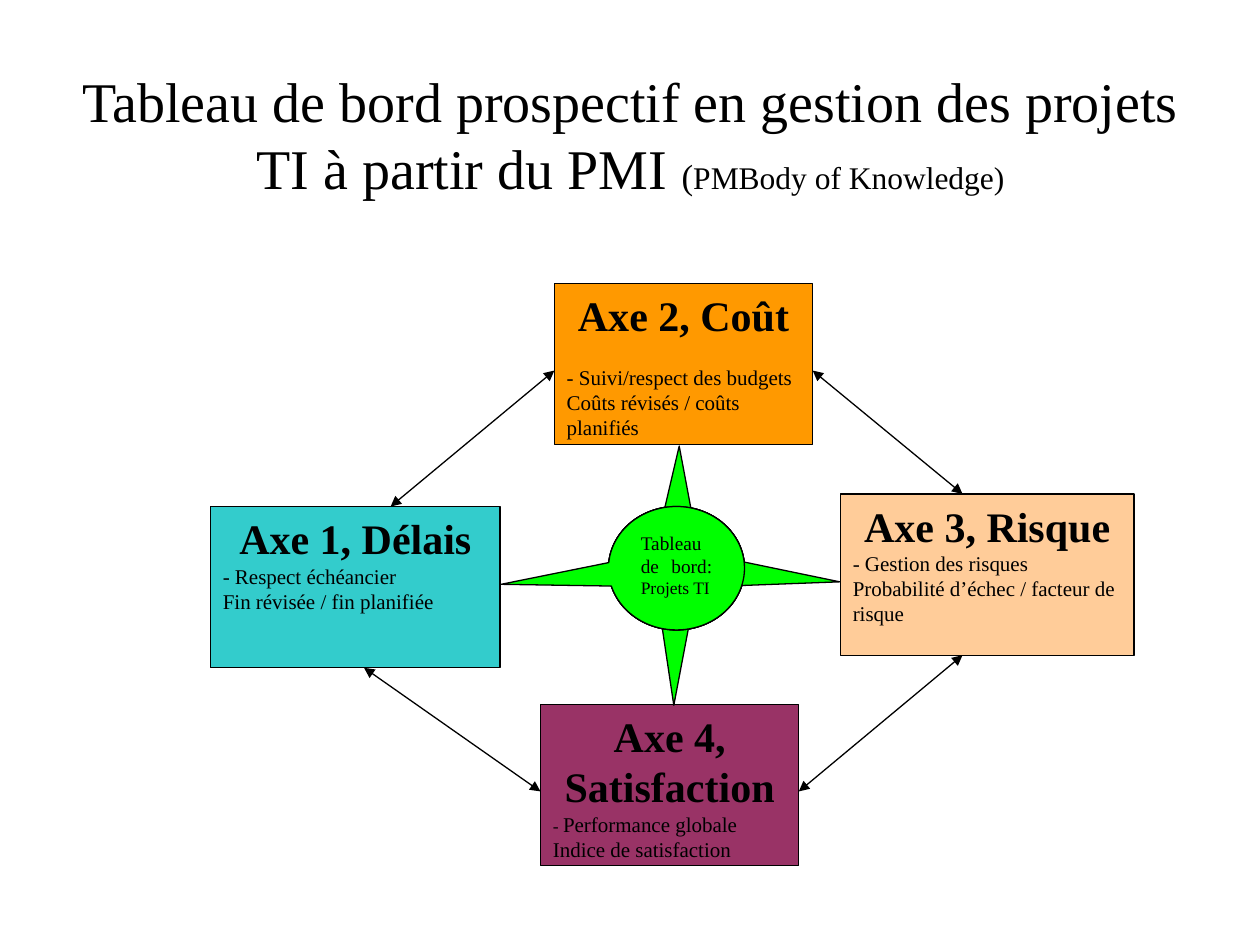
from dataclasses import dataclass

from lxml import etree
from pptx import Presentation, util as u
from pptx.dml.color import RGBColor
from pptx.enum import shapes, text
from pptx.oxml import ns

FONT = "Times New Roman"
BLACK = "000000"


@dataclass
class Box:
    left: float
    top: float
    width: float
    height: float

    def point(self, x, y):
        """Return the point at x and y percent of this box."""
        return (int(self.left + self.width * x / 100),
                int(self.top + self.height * y / 100))

    def inner(self, x, y, width, height):
        """Return the inner box given in percent of this box."""
        return Box(*self.point(x, y), int(self.width * width / 100),
                   int(self.height * height / 100))

    def frame(self):
        return self.left, self.top, self.width, self.height


def colour(value):
    return RGBColor.from_string(value)


def add_span(para, words, size, bold=False):
    span = para.add_run()
    span.text = words
    span.font.name = FONT
    span.font.size = u.Pt(size)
    span.font.bold = bold
    span.font.color.rgb = colour(BLACK)


def write(para, *spans, align=text.PP_ALIGN.LEFT, before=0, bold=False):
    """Fill a paragraph with spans, each a pair of words and size."""
    para.alignment = align
    para.space_before = u.Pt(before)
    for words, size in spans:
        add_span(para, words, size, bold)


def draw(parent, kind, box, fill):
    shape = parent.add_shape(kind, *box.frame())
    shape.shadow.inherit = False
    shape.fill.solid()
    shape.fill.fore_color.rgb = colour(fill)
    shape.line.color.rgb = colour(BLACK)
    shape.line.width = u.Pt(0.75)
    shape.text_frame.word_wrap = True
    shape.text_frame.vertical_anchor = text.MSO_ANCHOR.TOP
    return shape


def add_title(page, box):
    title = page.shapes.title
    title.left, title.top, title.width, title.height = box.frame()
    frame = title.text_frame
    frame.word_wrap = True
    frame.auto_size = text.MSO_AUTO_SIZE.NONE
    frame.vertical_anchor = text.MSO_ANCHOR.MIDDLE
    frame.margin_bottom = u.Inches(0.52)
    write(frame.paragraphs[0],
          ("Tableau de bord prospectif en gestion des projets TI à partir du PMI ", 32),
          ("(", 20), ("PMBody of Knowledge)", 18), align=text.PP_ALIGN.CENTER)


def add_axis(page, box, fill, heading, *lines, gap=0):
    """Draw an axis card; gap is the space under its heading in points."""
    frame = draw(page.shapes, shapes.MSO_SHAPE.RECTANGLE, box, fill).text_frame
    write(frame.paragraphs[0], (heading, 24), align=text.PP_ALIGN.CENTER, bold=True)
    for number, spans in enumerate(lines):
        write(frame.add_paragraph(), *spans, before=0 if number else gap)


def add_hub(page, box):
    """Draw the centre as stacked callouts, one pointing to each axis."""
    group = page.shapes.add_group_shape()
    for tip in ((-0.02, 1.11), (0.02, -0.99), (1.2, 0.11), (-1.29, 0.13)):
        callout = draw(group.shapes, shapes.MSO_SHAPE.OVAL_CALLOUT, box, "00FF00")
        callout.adjustments[0], callout.adjustments[1] = tip
    write(callout.text_frame.paragraphs[0], ("Tableau de bord: ", 11),
          ("Projets TI", 10), align=text.PP_ALIGN.JUSTIFY)


def add_arrow(page, start, end):
    """Draw a line with an arrowhead at both ends."""
    arrow = page.shapes.add_connector(shapes.MSO_CONNECTOR.STRAIGHT, *start, *end)
    arrow.line.color.rgb = colour(BLACK)
    arrow.line.width = u.Pt(0.75)
    properties = arrow._element.spPr
    line = properties.find(ns.qn("a:ln"))
    for end_tag in ("a:headEnd", "a:tailEnd"):
        etree.SubElement(line, ns.qn(end_tag), type="triangle")
    etree.SubElement(properties, ns.qn("a:effectLst"))


def add_diagram(page, box):
    row = 27.71
    cost = box.inner(37.24, 0, 27.97, row)
    satisfaction = box.inner(35.74, 72.29, 27.97, row)
    risk = box.inner(68.21, 36.15, 31.79, row)
    delay = box.inner(0, 38.31, 31.38, row)

    add_axis(page, cost, "FF9900", "Axe 2, Coût",
             [("- Suivi/respect des budgets", 12)],
             [("Coûts révisés / coûts planifiés", 12)], gap=14)
    add_axis(page, satisfaction, "993366", "Axe 4, Satisfaction",
             [("- ", 10), ("Performance globale", 12)],
             [("Indice de satisfaction", 12)])
    add_axis(page, risk, "FFCC99", "Axe 3, Risque",
             [("- Gestion des risques", 12)],
             [("Probabilité d’échec / facteur de risque", 12)])
    add_axis(page, delay, "33CCCC", "Axe 1, Délais",
             [("- Respect échéancier", 12)],
             [("Fin révisée / fin planifiée", 12)])
    add_hub(page, box.inner(43.11, 38.31, 14.73, 21.21))

    side = 54
    add_arrow(page, cost.point(100, side), risk.point(41.6, 0))
    add_arrow(page, cost.point(0, side), delay.point(62.2, 0))
    add_arrow(page, delay.point(53, 100), satisfaction.point(0, side))
    add_arrow(page, risk.point(41.6, 100), satisfaction.point(100, side))


def main():
    deck = Presentation()
    deck.slide_width, deck.slide_height = u.Inches(10), u.Inches(7.5)
    page = deck.slides.add_slide(deck.slide_layouts.get_by_name("Title Only"))
    whole = Box(0, 0, deck.slide_width, deck.slide_height)
    add_title(page, whole.inner(4.2, 8.93, 91.7, 16.67))
    add_diagram(page, whole.inner(16.7, 30, 73.3, 61.6))
    deck.save("out.pptx")


if __name__ == "__main__":
    main()
